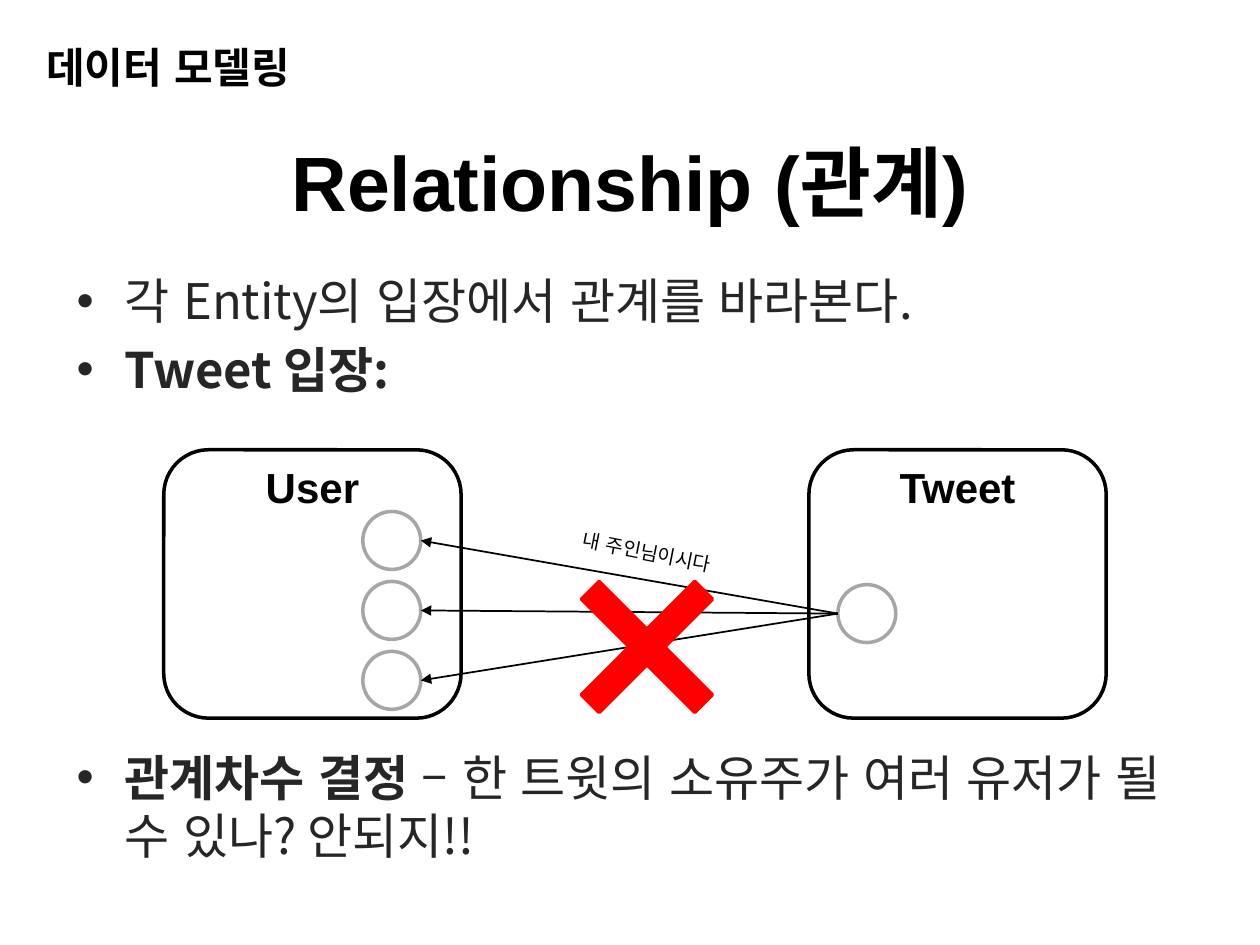
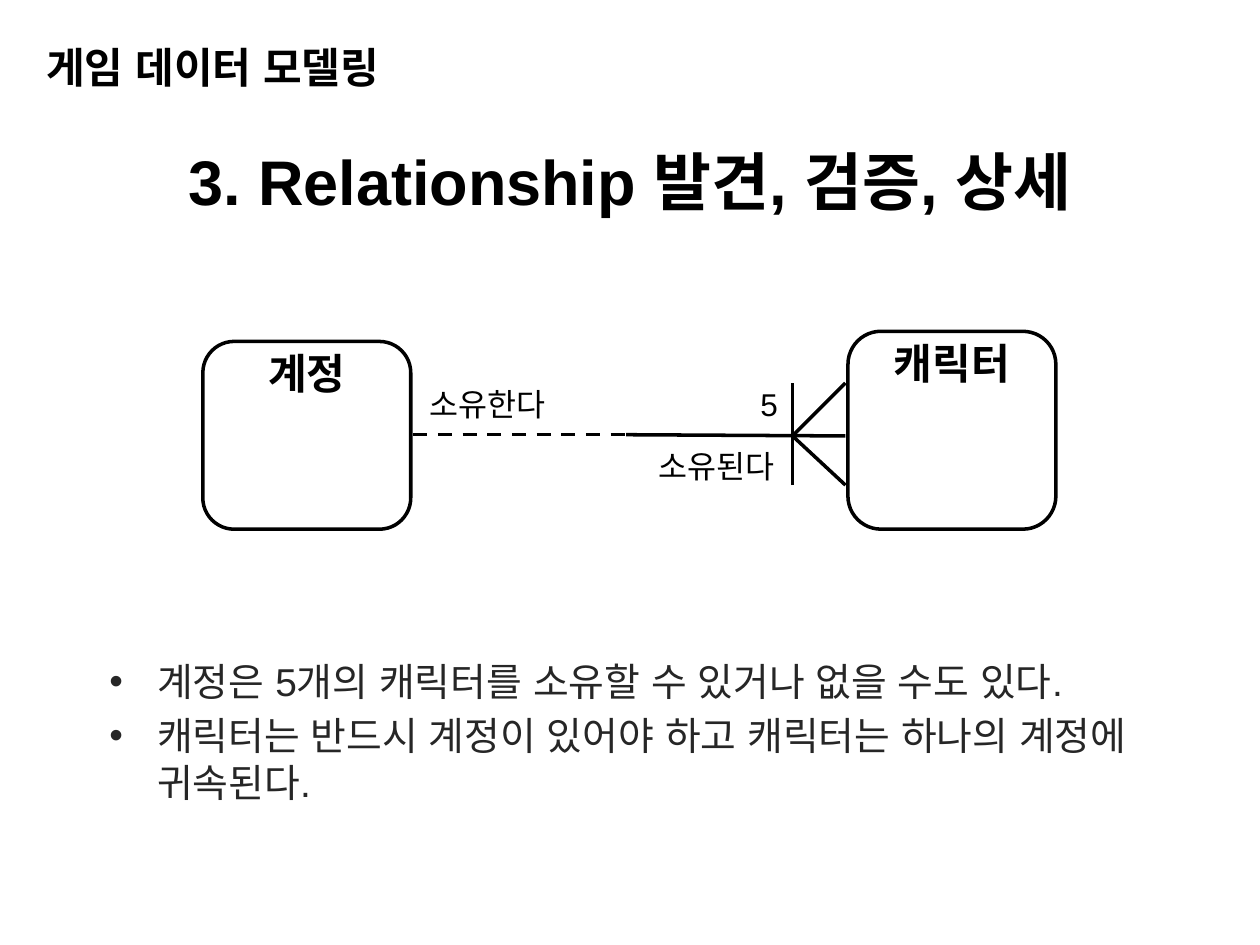
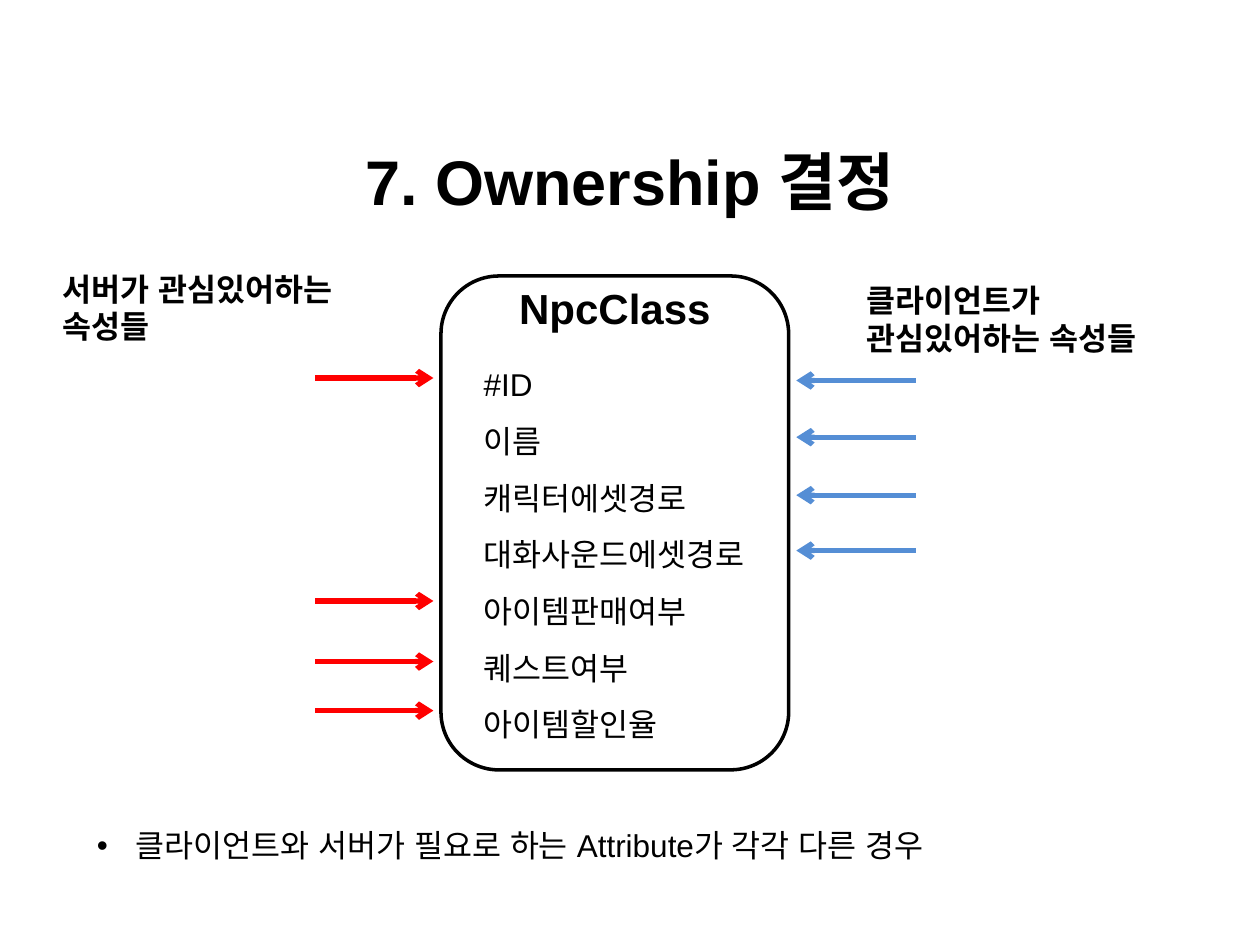
from dataclasses import dataclass

from lxml import etree
from pptx import Presentation
from pptx.dml.color import RGBColor
from pptx.enum.dml import MSO_LINE
from pptx.enum.lang import MSO_LANGUAGE_ID
from pptx.enum.shapes import MSO_CONNECTOR, MSO_SHAPE
from pptx.enum.text import MSO_ANCHOR, PP_ALIGN
from pptx.oxml.ns import qn
from pptx.util import Inches, Pt

ROUND_RECT = MSO_SHAPE.ROUNDED_RECTANGLE
OVAL = MSO_SHAPE.OVAL
MULTIPLY = MSO_SHAPE.MATH_MULTIPLY
STRAIGHT = MSO_CONNECTOR.STRAIGHT
DASH = MSO_LINE.DASH
LEFT, CENTER = PP_ALIGN.LEFT, PP_ALIGN.CENTER
TOP, MIDDLE = MSO_ANCHOR.TOP, MSO_ANCHOR.MIDDLE
KOREAN = MSO_LANGUAGE_ID.KOREAN


@dataclass(frozen=True)
class Theme:
    black: RGBColor = RGBColor(0x00, 0x00, 0x00)
    body: RGBColor = RGBColor(0x26, 0x26, 0x26)
    gray: RGBColor = RGBColor(0xA6, 0xA6, 0xA6)
    red: RGBColor = RGBColor(0xFF, 0x00, 0x00)
    blue: RGBColor = RGBColor(0x55, 0x8E, 0xD5)
    latin: str = "Arial"
    korean: str = "Noto Sans CJK KR"
    title_large: float = 44
    title: float = 36
    bullet_large: float = 28
    heading: float = 24
    bullet: float = 22.2
    label: float = 18
    note: float = 11


T = Theme()


def add_text(s, box, paras, size, color=T.black, font=T.latin, align=LEFT,
             anchor=TOP, indent=0, line_spacing=None):
    """Add a text box; each paragraph is a list of (text, bold) runs.

    A non-zero indent gives every paragraph a hanging bullet.
    """
    sp = s.shapes.add_textbox(*map(Inches, box))
    tf = sp.text_frame
    tf.word_wrap = True
    tf.vertical_anchor = anchor
    for i, runs in enumerate(paras):
        p = tf.add_paragraph() if i else tf.paragraphs[0]
        p.alignment = align
        if line_spacing:
            p.line_spacing = line_spacing
        if indent:
            pPr = p._p.get_or_add_pPr()
            pPr.set("marL", str(Inches(indent)))
            pPr.set("indent", str(-Inches(indent)))
            if i:
                p.space_before = Pt(size * 0.2)
            etree.SubElement(pPr, qn("a:buFont")).set("typeface", T.latin)
            etree.SubElement(pPr, qn("a:buChar")).set("char", "•")
        for text, bold in runs:
            r = p.add_run()
            r.text = text
            r.font.size = Pt(size)
            r.font.bold = bold
            r.font.name = font
            r.font.color.rgb = color
            r.font.language_id = KOREAN
            etree.SubElement(r._r.rPr, qn("a:ea")).set("typeface", T.korean)
    return sp


def add_line(s, start, end, color=T.black, width=2, arrow=None, dash=None):
    """Join two points; arrow names the arrowhead type at the end point."""
    line = s.shapes.add_connector(STRAIGHT, *map(Inches, (*start, *end)))
    line.line.color.rgb = color
    line.line.width = Pt(width)
    if dash:
        line.line.dash_style = dash
    if arrow:
        etree.SubElement(line.line._get_or_add_ln(), qn("a:tailEnd")).set("type", arrow)
    etree.SubElement(line._element.spPr, qn("a:effectLst"))


prs = Presentation()
prs.slide_width, prs.slide_height = Inches(10), Inches(7.5)

CIRCLE = 0.46
USER_CIRCLES = [(2.88, 4.06 + 0.555 * i) for i in range(3)]
TWEET_CIRCLE = (6.65, 4.64)

# header, title, title size, entities as (name, box), space above the name
PAGES = [
    ("데이터 모델링", "Relationship (관계)", T.title_large,
     [("Tweet", (6.42, 3.57, 2.36, 2.13)), ("User", (1.3, 3.57, 2.36, 2.13))], 0.04),
    ("게임 데이터 모델링", "3. Relationship 발견, 검증, 상세", T.title,
     [("계정", (1.61, 2.71, 1.65, 1.49)), ("캐릭터", (6.73, 2.63, 1.65, 1.57))], 0),
    (None, "7. Ownership 결정", T.title,
     [("NpcClass", (3.5, 2.19, 2.76, 3.92))], 0),
]

for header, title, title_size, entities, name_gap in PAGES:
    s = prs.slides.add_slide(prs.slide_layouts[6])
    add_text(s, (0, 0.84, 10, 1.18), [[(title, True)]], title_size,
             align=CENTER, anchor=MIDDLE)
    if header:
        add_text(s, (0.27, 0.28, 4.57, 0.55), [[(header, True)]], T.heading)
    outlines = [(ROUND_RECT, box, T.black) for _, box in entities]
    if s == prs.slides[0]:
        outlines += [(OVAL, (*corner, CIRCLE, CIRCLE), T.gray)
                     for corner in [TWEET_CIRCLE, *USER_CIRCLES]]
    for kind, box, color in outlines:
        sp = s.shapes.add_shape(kind, *map(Inches, box))
        sp.shadow.inherit = False
        sp.fill.background()
        sp.line.color.rgb = color
        sp.line.width = Pt(2)
    for name, (left, top, width, _) in entities:
        add_text(s, (left, top + name_gap, width, 0.5), [[(name, True)]],
                 T.heading, align=CENTER)

relation, crows_foot, ownership = prs.slides

# Slide 1: a tweet cannot belong to several users
add_text(relation, (0.51, 2.1, 8.98, 1.18),
         [[("각 Entity의 입장에서 관계를 바라본다.", False)], [("Tweet 입장:", True)]],
         T.bullet_large, T.body, T.korean, indent=0.38)
sp = add_text(relation, (4.23, 4.24, 1.81, 0.29), [[("내 주인님이시다", False)]],
              T.note, align=CENTER)
sp.rotation = 11.3
for left, top in USER_CIRCLES:
    add_line(relation, (TWEET_CIRCLE[0], TWEET_CIRCLE[1] + CIRCLE / 2),
             (left + CIRCLE, top + CIRCLE / 2), width=1, arrow="triangle")
add_text(relation, (0.51, 5.88, 8.98, 1.18),
         [[("관계차수 결정", True),
           (" – 한 트윗의 소유주가 여러 유저가 될 수 있나? 안되지!!", False)]],
         T.bullet_large, T.body, T.korean, indent=0.38)
cross = relation.shapes.add_shape(MULTIPLY, *map(Inches, (4.27, 4.27, 1.73, 1.73)))
cross.adjustments[0] = 0.115
cross.shadow.inherit = False
cross.fill.solid()
cross.fill.fore_color.rgb = T.red
cross.line.color.rgb = T.red
cross.line.width = Pt(2)

# Slide 2: optional one to mandatory many
fork = (6.29, 3.46)
add_line(crows_foot, (3.28, 3.45), (4.99, 3.45), dash=DASH)
for start, end in [((6.71, 3.46), (4.97, 3.45)), (fork, (6.71, 3.04)),
                   (fork, (6.71, 3.85)), ((6.29, 3.85), (6.29, 3.04))]:
    add_line(crows_foot, start, end)
for text, box, align in [("5", (5.9, 3.01, 0.41, 0.4), CENTER),
                         ("소유한다", (3.31, 3.01, 1.34, 0.4), LEFT),
                         ("소유된다", (5.13, 3.5, 1.34, 0.4), LEFT)]:
    add_text(crows_foot, box, [[(text, False)]], T.label, align=align)
add_text(crows_foot, (0.77, 5.17, 8.4, 1.34),
         [[("계정은 5개의 캐릭터를 소유할 수 있거나 없을 수도 있다.", False)],
          [("캐릭터는 반드시 계정이 있어야 하고 캐릭터는 하나의 계정에 귀속된다.", False)]],
         T.bullet, T.body, indent=0.38)

# Slide 3: attributes needed by the server and by the client
attributes = ["#ID", "이름", "캐릭터에셋경로", "대화사운드에셋경로",
              "아이템판매여부", "퀘스트여부", "아이템할인율"]
add_text(ownership, (3.74, 2.7, 2.52, 3.23), [[(a, False)] for a in attributes],
         T.label, line_spacing=1.5)
for color, start_x, end_x, rows in [(T.red, 2.5, 3.44, (3, 4.77, 5.25, 5.64)),
                                    (T.blue, 7.27, 6.32, (3.02, 3.47, 3.93, 4.37))]:
    for y in rows:
        add_line(ownership, (start_x, y), (end_x, y), color, 3, "arrow")
for text, box in [("서버가 관심있어하는 속성들", (0.4, 2.09, 2.6, 0.71)),
                  ("클라이언트가 관심있어하는 속성들", (6.78, 2.18, 2.83, 0.71))]:
    add_text(ownership, box, [[(text, True)]], T.label)
add_text(ownership, (0.67, 6.51, 8.43, 0.4),
         [[("클라이언트와 서버가 필요로 하는 Attribute가 각각 다른 경우", False)]],
         T.label, indent=0.31)

prs.save("out.pptx")
